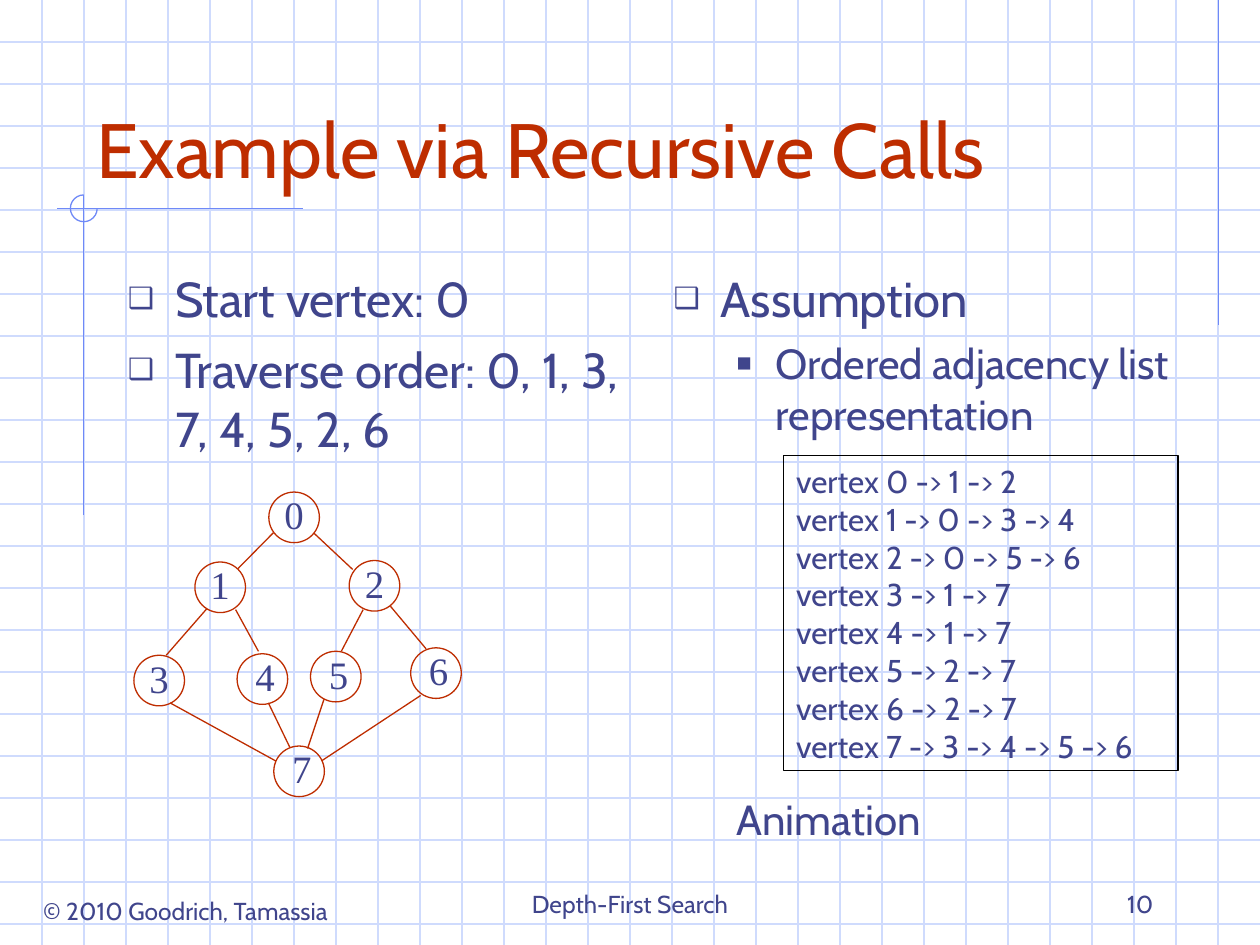
from lxml import etree
from pptx import Presentation
from pptx.dml.color import RGBColor
from pptx.enum.shapes import MSO_CONNECTOR, MSO_SHAPE
from pptx.enum.text import MSO_ANCHOR, PP_ALIGN
from pptx.oxml.ns import qn
from pptx.util import Cm, Pt

STRAIGHT = MSO_CONNECTOR.STRAIGHT
RECT, OVAL, ARC = MSO_SHAPE.RECTANGLE, MSO_SHAPE.OVAL, MSO_SHAPE.ARC
TOP, MIDDLE, BOTTOM = MSO_ANCHOR.TOP, MSO_ANCHOR.MIDDLE, MSO_ANCHOR.BOTTOM
LEFT, CENTER, RIGHT = PP_ALIGN.LEFT, PP_ALIGN.CENTER, PP_ALIGN.RIGHT

INK = RGBColor(0x40, 0x45, 0x8C)
RED = RGBColor(0xBE, 0x2D, 0x00)
GRID = RGBColor(0xCF, 0xDB, 0xFD)
RULE = RGBColor(0x6F, 0x89, 0xF7)
BLACK = RGBColor(0, 0, 0)
SANS, SERIF = "Cabin", "Times New Roman"

# Content; all lengths are in cm
WIDTH, HEIGHT = 25.4, 19.05
GRID_COLS, GRID_ROWS = 30, 22.5

RULES = [(24.57, 0, 24.57, 6.55), (6.1, 4.21, 1.14, 4.21), (1.69, 3.93, 1.69, 10.39)]
CORNER_ARC = (1.42, 3.93, 0.54, 0.54)

# text, box, size, colour, alignment, anchor
LABELS = [
    ("© 2010 Goodrich, Tamassia", (0.3, 17.93, 6.88, 0.86), 14, INK, CENTER, TOP),
    ("Example via Recursive Calls", (1.69, 0.85, 21.59, 3.18), 44, RED, LEFT, BOTTOM),
    ("Depth-First Search", (8.68, 17.36, 8.04, 1.27), 14, INK, CENTER, BOTTOM),
    ("10", (18.2, 17.36, 5.3, 1.27), 14, INK, RIGHT, BOTTOM),
    ("Animation", (14.4, 15.88, 4.62, 1.27), 24, INK, CENTER, TOP),
]

# box, (level, text) items
COLUMNS = [
    ((2.33, 5.29, 10.58, 11.43),
     [(0, "Start vertex: 0"), (0, "Traverse order: 0, 1, 3, 7, 4, 5, 2, 6")]),
    ((13.33, 5.29, 10.58, 11.43),
     [(0, "Assumption"), (1, "Ordered adjacency list representation")]),
]
# size, space before, bullet, left margin, hanging indent
LEVELS = [(28, 7, "❑", 0.95, 0.95), (24, 6, "■", 2.06, 0.79)]

NODE_SIZE = 1.02
NODES = [(5.42, 9.92), (3.93, 11.33), (7.04, 11.3), (2.7, 13.21),
         (4.78, 13.18), (6.26, 13.13), (8.28, 13.06), (5.52, 15.04)]
FIRST_SHIFTED_NODE = 4
EDGES = [
    (5.51, 10.74, 4.8, 11.46), (6.32, 10.74, 7.11, 11.48),
    (4.17, 12.27, 3.35, 13.21), (4.75, 12.29, 5.21, 13.13),
    (7.32, 12.29, 6.88, 13.13), (7.87, 12.22, 8.59, 13.08),
    (5.41, 14.17, 5.84, 15.06), (6.53, 14.1, 6.2, 15.09),
    (3.43, 14.17, 5.56, 15.34), (8.48, 14.02, 6.48, 15.34),
]

ADJACENCY_BOX = (15.8, 9.19, 7.95, 6.35)
ADJACENCY = [(1, 2), (0, 3, 4), (0, 5, 6), (1, 7),
             (1, 7), (2, 7), (2, 7), (3, 4, 5, 6)]


def set_attrs(obj, **values):
    for name, value in values.items():
        setattr(obj, name, value)


def add_line(s, ends, color):
    line = s.shapes.add_connector(STRAIGHT, *(Cm(v) for v in ends))
    line.line.color.rgb, line.line.width = color, Pt(0.75)
    etree.SubElement(line._element.spPr, qn("a:effectLst"))


def add_outline(s, kind, box, color):
    sp = s.shapes.add_shape(kind, *(Cm(v) for v in box))
    sp.shadow.inherit = False
    sp.fill.background()
    sp.line.color.rgb, sp.line.width = color, Pt(0.75)
    return sp


def add_box(s, box, anchor=TOP):
    tf = s.shapes.add_textbox(*(Cm(v) for v in box)).text_frame
    set_attrs(tf, word_wrap=True, vertical_anchor=anchor)
    return tf


def write(p, text, size, color=INK, font=SANS, align=LEFT):
    p.alignment = align
    r = p.add_run()
    r.text = text
    set_attrs(r.font, name=font, size=Pt(size))
    r.font.color.rgb = color


def add_bullet(p, char, margin, hang):
    pPr = p._p.get_or_add_pPr()
    pPr.set("marL", str(Cm(margin)))
    pPr.set("indent", str(-Cm(hang)))
    color = etree.SubElement(pPr, qn("a:buClr"))
    etree.SubElement(color, qn("a:srgbClr"), val=str(INK))
    etree.SubElement(pPr, qn("a:buSzPct"), val="60000")
    etree.SubElement(pPr, qn("a:buFont"), typeface="Arial")
    etree.SubElement(pPr, qn("a:buChar"), char=char)


def paragraphs(tf, items):
    for i, item in enumerate(items):
        yield i, (tf.add_paragraph() if i else tf.paragraphs[0]), item


def main():
    prs = Presentation()
    set_attrs(prs, slide_width=Cm(WIDTH), slide_height=Cm(HEIGHT))
    s = prs.slides.add_slide(prs.slide_layouts[6])

    # Background grid and corner ornament
    for i in range(1, int(GRID_ROWS) + 1):
        y = i * HEIGHT / GRID_ROWS
        add_line(s, (0, y, WIDTH, y), GRID)
    for i in range(1, GRID_COLS):
        x = i * WIDTH / GRID_COLS
        add_line(s, (x, 0, x, HEIGHT), GRID)
    for ends in RULES:
        add_line(s, ends, RULE)
    arc = add_outline(s, ARC, CORNER_ARC, RULE)
    # Arc angles are in 60000ths of a degree, adjustments in 100000ths
    arc.adjustments[0], arc.adjustments[1] = 0, 270 * 0.6

    # Title, footer and caption
    for text, box, size, color, align, anchor in LABELS:
        tf = add_box(s, box, anchor)
        write(tf.paragraphs[0], text, size, color, align=align)

    # Bulleted columns
    for box, items in COLUMNS:
        for i, p, (level, text) in paragraphs(add_box(s, box), items):
            size, before, char, margin, hang = LEVELS[level]
            p.level = level
            p.space_before = Pt(before if i else 0)
            add_bullet(p, char, margin, hang)
            write(p, text, size)

    # Graph
    for number, (x, y) in enumerate(NODES):
        tf = add_outline(s, OVAL, (x, y, NODE_SIZE, NODE_SIZE), RED).text_frame
        shift = 0.11 if number >= FIRST_SHIFTED_NODE else 0
        set_attrs(tf, margin_left=Cm(0.05 + shift), margin_right=Cm(0.05),
                  margin_top=Cm(0.03), margin_bottom=Cm(0.03),
                  vertical_anchor=MIDDLE)
        p = tf.paragraphs[0]
        p.line_spacing = 0.9
        write(p, str(number), 22.2, font=SERIF, align=CENTER)
    for ends in EDGES:
        add_line(s, ends, RED)

    # Adjacency lists
    tf = add_outline(s, RECT, ADJACENCY_BOX, BLACK).text_frame
    set_attrs(tf, word_wrap=True, vertical_anchor=TOP)
    for vertex, p, neighbours in paragraphs(tf, ADJACENCY):
        write(p, " -> ".join([f"vertex {vertex}", *map(str, neighbours)]), 18)

    prs.save("out.pptx")


if __name__ == "__main__":
    main()
